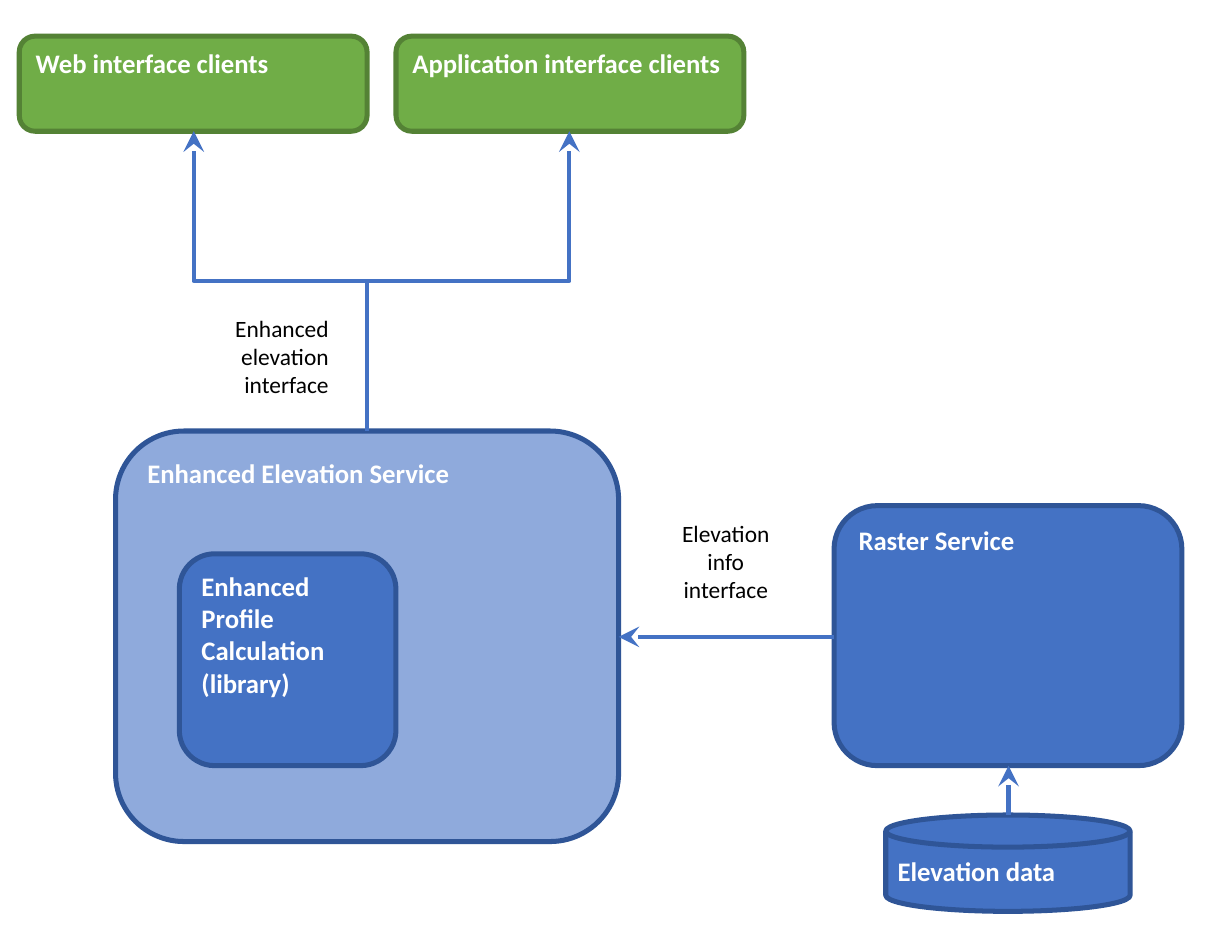
from pptx import Presentation
from pptx.dml.color import RGBColor
from pptx.enum.shapes import MSO_CONNECTOR as CONN, MSO_SHAPE as SHAPE
from pptx.enum.text import MSO_ANCHOR as ANCHOR, MSO_AUTO_SIZE as AUTO, PP_ALIGN as ALIGN
from pptx.oxml.ns import qn
from pptx.util import Cm, Inches, Pt
from lxml.etree import SubElement


def rgb(value):
    return RGBColor.from_string(value)


def connect(kind, x1, y1, x2, y2):
    c = s.shapes.add_connector(kind, Inches(x1), Inches(y1), Inches(x2), Inches(y2))
    c.line.color.rgb = rgb("4472C4")
    c.line.width = Pt(2.5)
    SubElement(c.line._get_or_add_ln(), qn("a:tailEnd"), type="stealth", w="lg", len="lg")
    SubElement(c._element.spPr, qn("a:effectLst"))
    return c


prs = Presentation()
prs.slide_width = Cm(26)
prs.slide_height = Cm(20)
s = prs.slides.add_slide(prs.slide_layouts[6])

ROUND, DISK = SHAPE.FLOWCHART_ALTERNATE_PROCESS, SHAPE.FLOWCHART_MAGNETIC_DISK
boxes = [
    (ROUND, 0.96, 3.58, 4.18, 3.41, "8FAADC", "2F5597", "Enhanced Elevation Service"),
    (ROUND, 1.49, 4.6, 1.8, 1.76, "4472C4", "2F5597", "Enhanced Profile Calculation\n(library)"),
    (DISK, 7.36, 6.77, 2.03, 0.8, "4472C4", "2F5597", "Elevation data"),
    (ROUND, 6.93, 4.2, 2.89, 2.16, "4472C4", "2F5597", "Raster Service"),
    (ROUND, 0.16, 0.3, 2.89, 0.79, "70AD47", "548235", "Web interface clients"),
    (ROUND, 3.29, 0.3, 2.89, 0.79, "70AD47", "548235", "Application interface clients"),
]
for kind, x, y, w, h, fill, line, text in boxes:
    sp = s.shapes.add_shape(kind, Inches(x), Inches(y), Inches(w), Inches(h))
    sp.shadow.inherit = False
    sp.fill.solid()
    sp.fill.fore_color.rgb = rgb(fill)
    sp.line.color.rgb = rgb(line)
    sp.line.width = Pt(3)
    tf = sp.text_frame
    tf.word_wrap = True
    tf.vertical_anchor = ANCHOR.MIDDLE if kind == DISK else ANCHOR.TOP
    tf.text = text
    for p in tf.paragraphs:
        p.alignment = ALIGN.LEFT
        p.font.name, p.font.size, p.font.bold = "Calibri", Pt(16), True
        p.font.color.rgb = rgb("FFFFFF")

labels = [
    (1.61, 2.56, ALIGN.RIGHT, "Enhanced elevation interface"),
    (5.42, 4.26, ALIGN.CENTER, "Elevation info interface"),
]
for x, y, align, text in labels:
    tf = s.shapes.add_textbox(Inches(x), Inches(y), Inches(1.22), Inches(0.81)).text_frame
    tf.word_wrap = True
    tf.auto_size = AUTO.SHAPE_TO_FIT_TEXT
    tf.text = text
    p = tf.paragraphs[0]
    p.alignment = align
    p.font.name, p.font.size = "Calibri", Pt(14)
    p.font.color.rgb = rgb("000000")

connect(CONN.STRAIGHT, 6.93, 5.29, 5.14, 5.29)
connect(CONN.STRAIGHT, 8.38, 6.77, 8.38, 6.36)

service_x, service_y, client_y = 3.05, 3.58, 1.09
mid_y, half_rise = (service_y + client_y) / 2, (service_y - client_y) / 2
for client_x, side, angle in [(1.61, 1, 270), (4.73, -1, 90)]:
    mid_x, half_run = (service_x + client_x) / 2, abs(client_x - service_x) / 2
    c = connect(CONN.ELBOW, mid_x - side * half_rise, mid_y + half_run,
                mid_x + side * half_rise, mid_y - half_run)
    c._element.spPr.find(qn("a:xfrm")).set("rot", str(angle * 60000))

prs.save("out.pptx")
